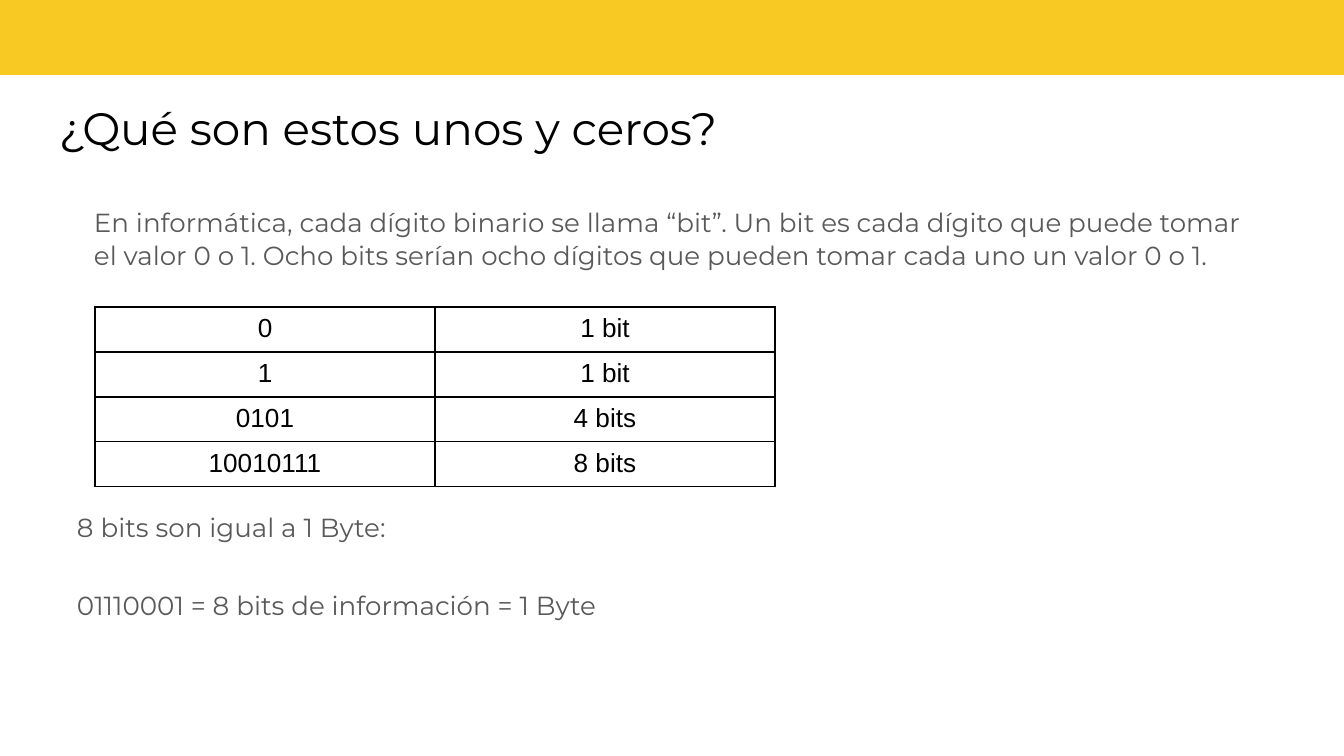
from dataclasses import dataclass

from lxml.etree import SubElement
from pptx import Presentation
from pptx.dml.color import RGBColor as Rgb
from pptx.enum.shapes import MSO_SHAPE as Shape
from pptx.enum.text import MSO_ANCHOR as Anchor, PP_ALIGN as Align
from pptx.oxml.ns import qn
from pptx.util import Emu, Pt

SCALE = 6804  # EMU in one px


@dataclass(frozen=True)
class Theme:
    band: str = "F8C823"
    black: str = "000000"
    gray: str = "595959"
    head: float = 24.3
    body: float = 14
    font: str = "Montserrat"
    plain: str = "Arial"
    line: float = 1


@dataclass(frozen=True)
class Box:
    left: int
    top: int
    width: int
    height: int

    def emu(self) -> list[Emu]:
        return [px(n) for n in (self.left, self.top, self.width, self.height)]


@dataclass(frozen=True)
class Row:
    code: str
    size: str


THEME = Theme()
ROWS = [
    Row("0", "1 bit"),
    Row("1", "1 bit"),
    Row("0101", "4 bits"),
    Row("10010111", "8 bits"),
]
INTRO = (
    "En informática, cada dígito binario se llama “bit”. Un bit es cada dígito "
    "que puede tomar el valor 0 o 1. Ocho bits serían ocho dígitos que pueden "
    "tomar cada uno un valor 0 o 1."
)
BYTES = ["8 bits son igual a 1 Byte:", "01110001 = 8 bits de información = 1 Byte"]


def px(count: int) -> Emu:
    return Emu(count * SCALE)


def write(frame, *lines: str, size=THEME.body, font=THEME.font, color=THEME.gray,
          align=Align.LEFT, pitch=1.0, gap=0) -> None:
    """Fill a text frame with one paragraph per line."""
    frame.word_wrap = True
    for i, line in enumerate(lines):
        para = frame.add_paragraph() if i else frame.paragraphs[0]
        para.alignment = align
        para.line_spacing = pitch
        para.space_before = Pt(gap if i else 0)
        run = para.add_run()
        run.text = line
        run.font.size = Pt(size)
        run.font.name = font
        run.font.color.rgb = Rgb.from_string(color)


def add_text(slide, box: Box, *lines: str, **form) -> None:
    frame = slide.shapes.add_textbox(*box.emu()).text_frame
    frame.margin_left = frame.margin_right = px(13)
    frame.margin_top = frame.margin_bottom = px(13)
    write(frame, *lines, **form)


def add_band(slide, box: Box) -> None:
    band = slide.shapes.add_shape(Shape.RECTANGLE, *box.emu())
    band.shadow.inherit = False
    band.fill.solid()
    band.fill.fore_color.rgb = Rgb.from_string(THEME.band)
    band.line.fill.background()


def edge(cell) -> None:
    """Draw the four borders of a cell, placed ahead of its fill."""
    props = cell._tc.get_or_add_tcPr()
    for i, side in enumerate(("lnL", "lnR", "lnT", "lnB")):
        line = SubElement(props, qn(f"a:{side}"), w=str(Pt(THEME.line)))
        fill = SubElement(line, qn("a:solidFill"))
        SubElement(fill, qn("a:srgbClr"), val=THEME.black)
        props.insert(i, line)


def add_grid(slide, box: Box, rows: list[Row]) -> None:
    grid = slide.shapes.add_table(len(rows), 2, *box.emu()).table
    grid.first_row = grid.horz_banding = False
    for r, row in enumerate(rows):
        for c, text in enumerate((row.code, row.size)):
            cell = grid.cell(r, c)
            cell.fill.background()
            cell.vertical_anchor = Anchor.TOP
            edge(cell)
            write(cell.text_frame, text, font=THEME.plain, color=THEME.black,
                  align=Align.CENTER)


def main() -> None:
    deck = Presentation()
    deck.slide_width, deck.slide_height = px(1344), px(756)
    slide = deck.slides.add_slide(deck.slide_layouts[6])

    # Top band and title
    add_band(slide, Box(0, 0, 1344, 75))
    add_text(slide, Box(46, 87, 1250, 85), "¿Qué son estos unos y ceros?",
             size=THEME.head, color=THEME.black)

    # Definition of a bit
    add_text(slide, Box(81, 192, 1200, 95), INTRO, pitch=1.05)

    # Table of examples
    add_grid(slide, Box(95, 307, 680, 44 * len(ROWS)), ROWS)

    # From bits to a byte
    add_text(slide, Box(64, 497, 1218, 140), *BYTES, pitch=1.05, gap=24)

    deck.save("out.pptx")


if __name__ == "__main__":
    main()
